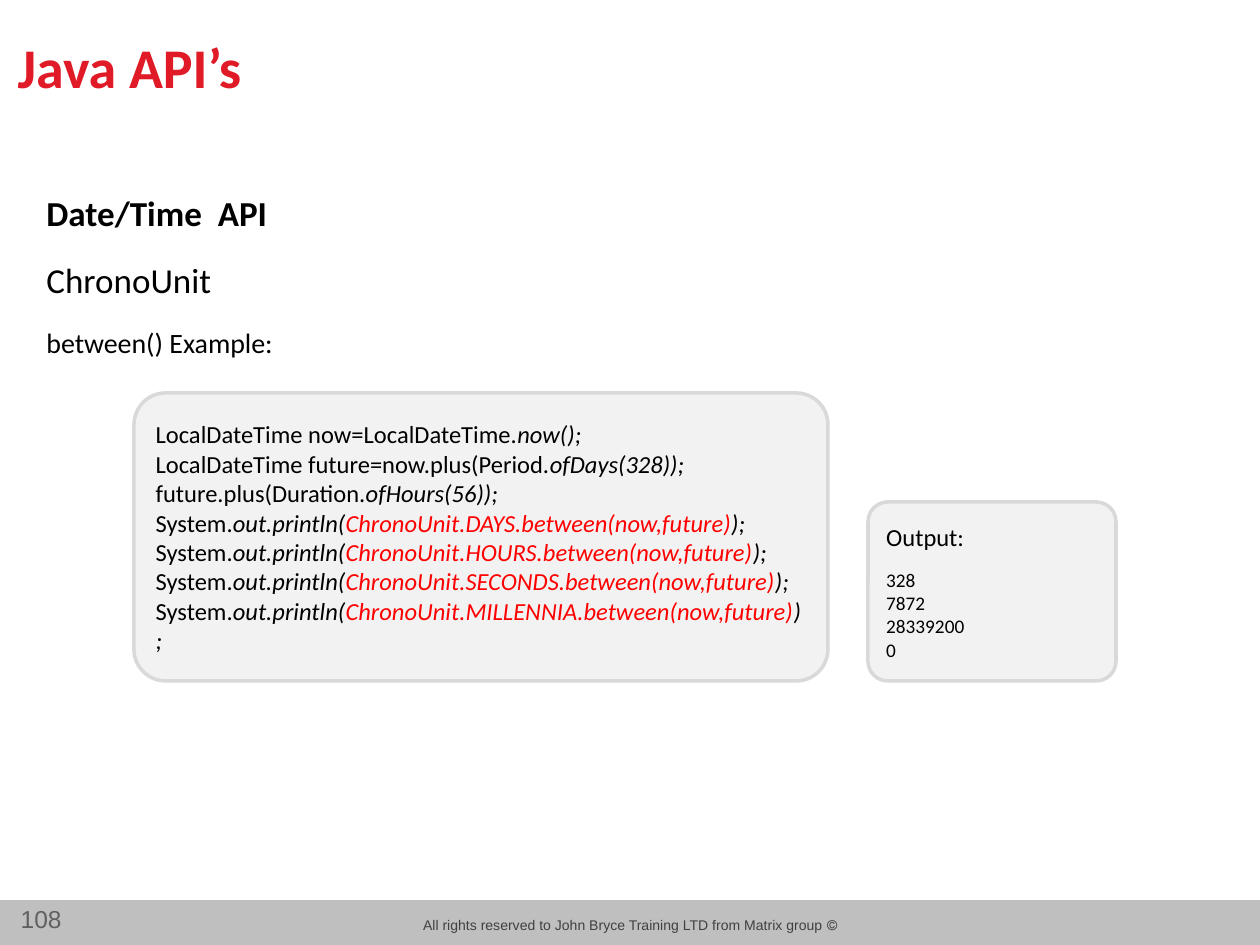
from pptx import Presentation
from pptx.dml.color import RGBColor
from pptx.enum.shapes import MSO_SHAPE as Shape
from pptx.enum.text import MSO_ANCHOR as Anchor, PP_ALIGN as Align
from pptx.util import Emu, Pt

BLACK = RGBColor(0x00, 0x00, 0x00)
RED = RGBColor(0xFF, 0x00, 0x00)
TITLE_RED = RGBColor(0xE0, 0x1A, 0x26)
BAR_GRAY = RGBColor(0xBF, 0xBF, 0xBF)
PANEL_FILL = RGBColor(0xF2, 0xF2, 0xF2)
PANEL_LINE = RGBColor(0xD9, 0xD9, 0xD9)
FOOTER_GRAY = RGBColor(0x40, 0x40, 0x40)
NUMBER_GRAY = RGBColor(0x60, 0x60, 0x60)

PX_PER_INCH = 126


def px(length):
    return Emu(round(length * 914400 / PX_PER_INCH))


def place(*lengths):
    return [px(length) for length in lengths]


def add_span(para, text, color=BLACK, **font_format):
    span = para.add_run()
    span.text = text
    values = {"name": "Calibri", "size": 14, **font_format}
    values["size"] = Pt(values["size"])
    for name, value in values.items():
        setattr(span.font, name, value)
    span.font.color.rgb = color


def fill_lines(box, lines, anchor=Anchor.TOP, align=Align.LEFT):
    """Each line is (space before in points, list of (text, format))."""
    frame = box.text_frame
    frame.word_wrap = True
    frame.vertical_anchor = anchor
    for index, (gap, spans) in enumerate(lines):
        para = frame.add_paragraph() if index else frame.paragraphs[0]
        para.alignment = align
        if gap:
            para.space_before = Pt(gap)
        for text, font_format in spans:
            add_span(para, text, **font_format)


def add_text(page, area, lines, align=Align.LEFT):
    box = page.shapes.add_textbox(*place(*area))
    fill_lines(box, lines, align=align)
    return box


def add_block(page, kind, area, fill, line=None):
    block = page.shapes.add_shape(kind, *place(*area))
    block.shadow.inherit = False
    block.fill.solid()
    block.fill.fore_color.rgb = fill
    if line is None:
        block.line.fill.background()
    else:
        block.line.color.rgb = line
        block.line.width = Pt(2)
    return block


def add_panel(page, area, lines):
    panel = add_block(page, Shape.ROUNDED_RECTANGLE, area, PANEL_FILL, PANEL_LINE)
    panel.adjustments[0] = 0.11
    fill_lines(panel, lines, anchor=Anchor.MIDDLE)


def add_title(page, area, text):
    title = page.shapes.title
    title.left, title.top, title.width, title.height = place(*area)
    heading = (text, {"size": 32, "bold": True, "color": TITLE_RED})
    fill_lines(title, [(0, [heading])], anchor=Anchor.MIDDLE)


def add_footer(page):
    add_block(page, Shape.RECTANGLE, (0, 900, 1260, 45), BAR_GRAY)
    notice = "© All rights reserved to John Bryce Training LTD from Matrix group"
    notice_format = {"name": "Arial", "size": 8, "color": FOOTER_GRAY}
    box = add_text(page, (401, 910, 459, 30), [(0, [(notice, notice_format)])], Align.CENTER)
    # Right-to-left reading order
    box.text_frame.paragraphs[0]._p.get_or_add_pPr().set("rtl", "1")
    number_format = {"name": "Arial", "size": 14, "color": NUMBER_GRAY}
    add_text(page, (0, 898, 74, 43), [(0, [("108", number_format)])], Align.RIGHT)


def code_lines():
    italic = {"italic": True}
    calls = [
        ("LocalDateTime now=LocalDateTime.", "now();"),
        ("LocalDateTime future=now.plus(Period.", "ofDays(328));"),
        ("future.plus(Duration.", "ofHours(56));"),
    ]
    lines = [(0, [(start, {}), (call, italic)]) for start, call in calls]
    for unit in ("DAYS", "HOURS", "SECONDS", "MILLENNIA"):
        between = f"ChronoUnit.{unit}.between(now,future)"
        lines.append((0, [
            ("System.", {}),
            ("out.println(", italic),
            (between, {"italic": True, "color": RED}),
            (");", italic),
        ]))
    return lines


def main():
    deck = Presentation()
    deck.slide_width, deck.slide_height = place(1260, 945)
    page = deck.slides.add_slide(deck.slide_layouts[5])

    # Footer bar, notice and page number
    add_footer(page)

    # Title and topic
    add_title(page, (5, 26, 1111, 80), "Java API’s")
    add_text(page, (34, 185, 1191, 536), [
        (0, [("Date/Time  API", {"size": 20, "bold": True})]),
        (14.5, [("ChronoUnit", {"size": 20})]),
        (14.5, [("between() Example:", {"size": 16})]),
    ])

    # Code and its output
    add_panel(page, (134, 393, 694, 288), code_lines())
    results = [(0, [("Output:", {})])]
    for index, value in enumerate(("328", "7872", "28339200", "0")):
        results.append((0 if index else 9.8, [(value, {"size": 11})]))
    add_panel(page, (868, 502, 248, 179), results)

    deck.save("out.pptx")


if __name__ == "__main__":
    main()
